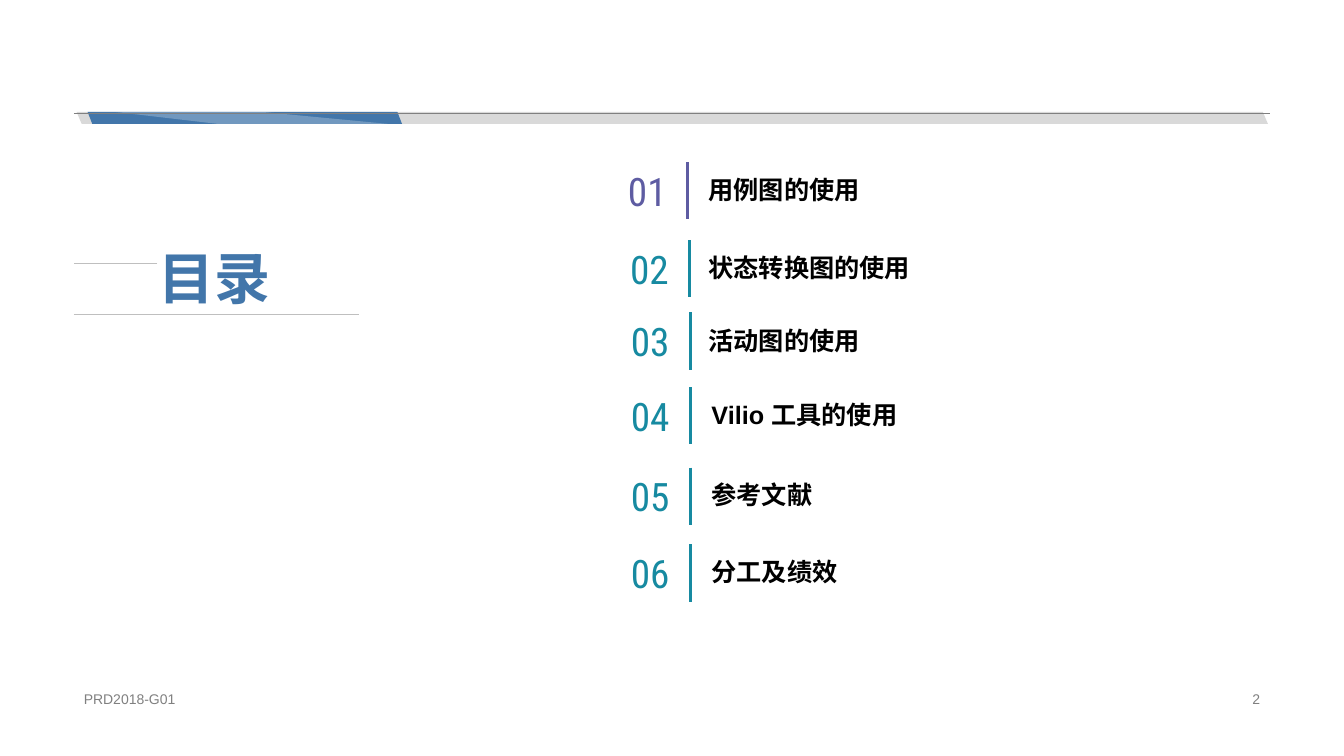
from lxml.etree import SubElement
from pptx import Presentation
from pptx.dml.color import RGBColor
from pptx.enum.shapes import MSO_CONNECTOR, MSO_SHAPE
from pptx.enum.text import MSO_ANCHOR, PP_ALIGN
from pptx.oxml.ns import qn
from pptx.util import Pt

WHITE = RGBColor(0xFF, 0xFF, 0xFF)
BLACK = RGBColor(0x00, 0x00, 0x00)
BLUE = RGBColor(0x42, 0x76, 0xAA)
PURPLE = RGBColor(0x5E, 0x5C, 0xA2)
TEAL = RGBColor(0x17, 0x8A, 0xA1)
PALE_GREY = RGBColor(0xD9, 0xD9, 0xD9)
LIGHT_GREY = RGBColor(0xBF, 0xBF, 0xBF)
GREY = RGBColor(0x80, 0x80, 0x80)


class Deck:
    """Holds the text style and the current slide, and draws each kind of element."""

    font = "Arial"
    number_font = "Roboto Condensed"

    def __init__(self, width, height):
        self.prs = Presentation()
        self.prs.slide_width, self.prs.slide_height = Pt(width), Pt(height)
        self.slide = self.prs.slides.add_slide(self.prs.slide_layouts[6])

    def paint(self, sp, color):
        sp.shadow.inherit = False
        sp.fill.solid()
        sp.fill.fore_color.rgb = color
        sp.line.fill.background()

    def band(self, x, y, w, h, slant, color):
        sp = self.slide.shapes.add_shape(
            MSO_SHAPE.PARALLELOGRAM, Pt(x), Pt(y), Pt(w), Pt(h))
        sp.adjustments[0] = slant
        sp.element.spPr.xfrm.set("flipH", "1")
        self.paint(sp, color)

    def glint(self, points, color, opacity):
        start, *rest = [(Pt(x), Pt(y)) for x, y in points]
        builder = self.slide.shapes.build_freeform(*start)
        builder.add_line_segments(rest, close=True)
        sp = builder.convert_to_shape()
        self.paint(sp, color)
        rgb = sp.element.spPr.find(qn("a:solidFill"))[0]
        SubElement(rgb, qn("a:alpha")).set("val", str(opacity * 1000))

    def line(self, x1, y1, x2, y2, color, weight):
        cxn = self.slide.shapes.add_connector(
            MSO_CONNECTOR.STRAIGHT, Pt(x1), Pt(y1), Pt(x2), Pt(y2))
        cxn.line.color.rgb = color
        cxn.line.width = Pt(weight)
        SubElement(cxn.element.spPr, qn("a:effectLst"))

    def text(self, text, x, y, w, h, size, color, bold=False, font=None, inset=7.2,
             align=PP_ALIGN.LEFT, anchor=MSO_ANCHOR.MIDDLE, spacing=None):
        tf = self.slide.shapes.add_textbox(Pt(x), Pt(y), Pt(w), Pt(h)).text_frame
        tf.word_wrap = True
        tf.margin_left = tf.margin_right = Pt(inset)
        tf.vertical_anchor = anchor
        p = tf.paragraphs[0]
        p.text = text
        p.alignment = align
        p.line_spacing = spacing
        p.font.name = font or self.font
        p.font.size = Pt(size)
        p.font.bold = bold
        p.font.color.rgb = color

    def entry(self, number, title, y, bar_x, title_x, color, spacing):
        self.text(f"{number:02}", 444.2, y + 2.2, (bar_x - 472.8) * 2, 36, 28, color,
                  font=self.number_font, inset=0, align=PP_ALIGN.CENTER)
        self.line(bar_x, y, bar_x, y + 41, color, 2.25)
        self.text(title, title_x, y + 6.6, 284.4, 27.4, 18, BLACK, bold=True,
                  anchor=MSO_ANCHOR.BOTTOM, spacing=spacing)


def main():
    deck = Deck(960, 540)

    deck.band(54.7, 79.9, 851, 8.6, 0.424, PALE_GREY)
    deck.band(62.6, 79.9, 224.6, 8.6, 0.388, BLUE)
    deck.glint([(277.2, 88.5), (187.2, 79.9), (82.1, 79.9), (155.5, 88.5)], WHITE, 25)
    deck.line(52.8, 80.8, 907.2, 80.8, GREY, 0.25)

    deck.line(112.3, 188.1, 52.8, 188.1, LIGHT_GREY, 0.5)
    deck.line(52.8, 224.8, 256.7, 224.8, LIGHT_GREY, 0.5)
    deck.text("目录", 106.2, 175, 159.1, 51.8, 40, BLUE, bold=True, spacing=0.9)

    entries = [
        ("用例图的使用", 115.8, 491, 499, PURPLE, 0.9),
        ("状态转换图的使用", 171.5, 492.5, 499, TEAL, None),
        ("活动图的使用", 223.2, 493, 499, TEAL, None),
        ("Vilio 工具的使用", 276.5, 493, 501.1, TEAL, 0.9),
        ("参考文献", 334.1, 493, 501.1, TEAL, 0.9),
        ("分工及绩效", 388.8, 493, 501.1, TEAL, 0.9),
    ]
    for number, entry in enumerate(entries, 1):
        deck.entry(number, *entry)

    deck.text("PRD2018-G01", 52.8, 491, 326.2, 16.6, 10, GREY)
    deck.text("2", 678.2, 491, 229, 16.6, 10, GREY, align=PP_ALIGN.RIGHT)

    deck.prs.save("out.pptx")


if __name__ == "__main__":
    main()
